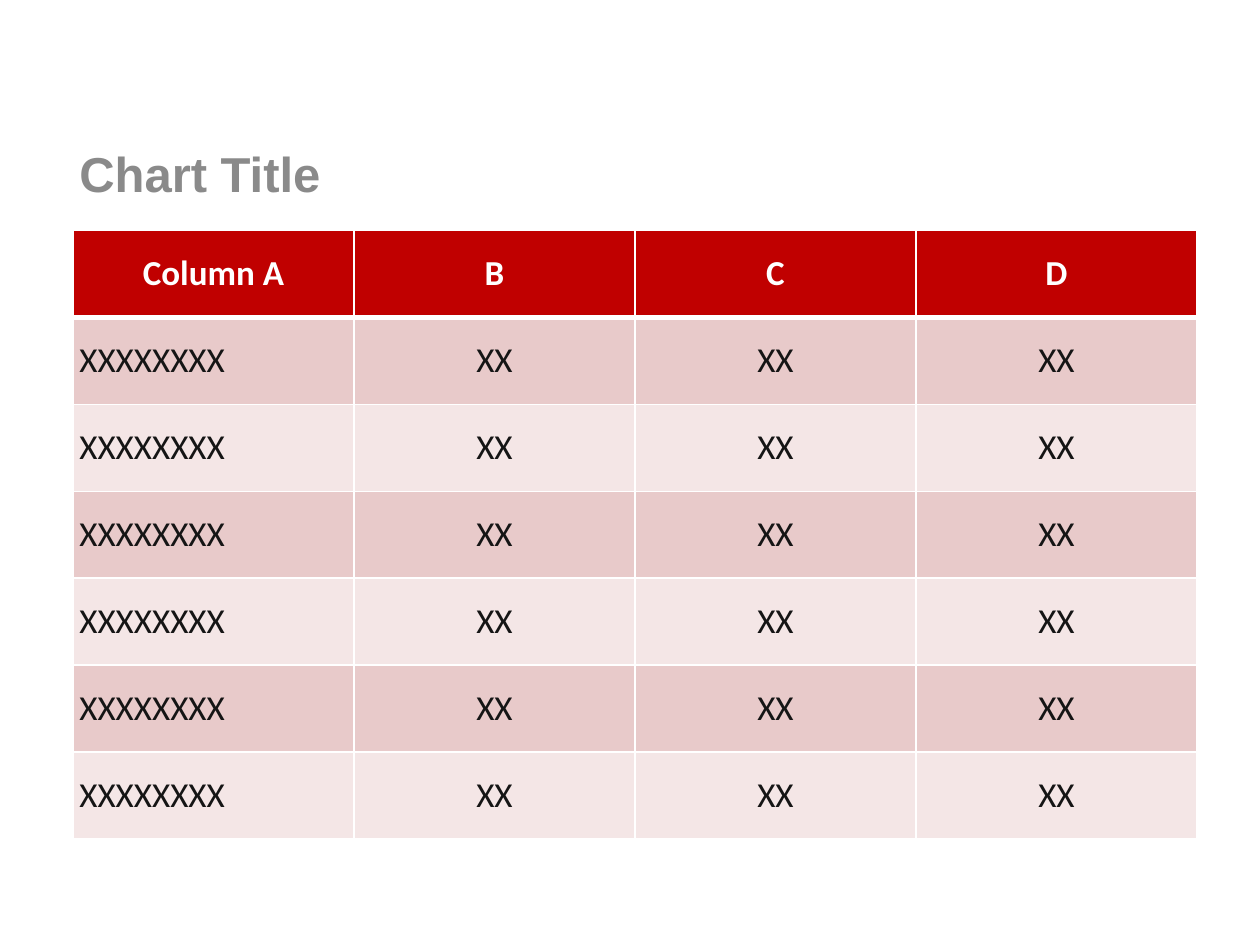
from lxml import etree
from pptx import Presentation
from pptx.dml.color import RGBColor
from pptx.enum.text import MSO_ANCHOR, PP_ALIGN
from pptx.oxml.ns import qn
from pptx.util import Inches, Pt

MIDDLE = MSO_ANCHOR.MIDDLE
LEFT, CENTER = PP_ALIGN.LEFT, PP_ALIGN.CENTER
COLORS = {"title": "8A8A8A", "head": "C00000", "dark": "E8CACA",
          "light": "F4E6E6", "ink": "151515", "white": "FFFFFF"}
PAD = Inches(0.05)


def style(para, font, size, color, bold, align):
    para.alignment = align
    for run in para.runs:
        run.font.name = font
        run.font.size = Pt(size)
        run.font.bold = bold
        run.font.color.rgb = RGBColor.from_string(COLORS[color])


def border(cell, widths):
    """Draw white cell edges; widths maps L, R, T, B to points."""
    props = cell._tc.get_or_add_tcPr()
    for spot, (side, width) in enumerate(widths.items()):
        line = etree.Element(qn(f"a:ln{side}"), w=str(Pt(width)))
        fill = etree.SubElement(line, qn("a:solidFill"))
        etree.SubElement(fill, qn("a:srgbClr"), val=COLORS["white"])
        props.insert(spot, line)


deck = Presentation()
deck.slide_width, deck.slide_height = Inches(10), Inches(7.5)
slide = deck.slides.add_slide(deck.slide_layouts[5])

left, wide = Inches(0.58), Inches(8.92)
title = slide.shapes.title
title.left, title.top = left, Inches(1.08)
title.width, title.height = wide, Inches(0.58)
frame = title.text_frame
frame.text = "Chart Title"
frame.vertical_anchor = MIDDLE
frame.margin_left = frame.margin_right = PAD
frame.margin_top = frame.margin_bottom = PAD
style(frame.paragraphs[0], "Arial", 28, "title", True, LEFT)

rows = [["Column A", "B", "C", "D"]] + [["XXXXXXXX"] + ["XX"] * 3] * 6
table = slide.shapes.add_table(
    len(rows), len(rows[0]), left, Inches(1.83), wide, Inches(4.83)).table

for r, row in enumerate(rows):
    head = r == 0
    shade = "head" if head else "dark" if r % 2 else "light"
    for c, text in enumerate(row):
        cell = table.cell(r, c)
        cell.text = text
        cell.vertical_anchor = MIDDLE
        cell.margin_left = cell.margin_right = PAD
        cell.margin_top = cell.margin_bottom = PAD
        cell.fill.solid()
        cell.fill.fore_color.rgb = RGBColor.from_string(COLORS[shade])
        border(cell, {"L": 1, "R": 1, "T": 3 if r == 1 else 1,
                      "B": 3 if head else 1})
        style(cell.text_frame.paragraphs[0], "Calibri", 20,
              "white" if head else "ink", head,
              CENTER if head or c else LEFT)

deck.save("out.pptx")
